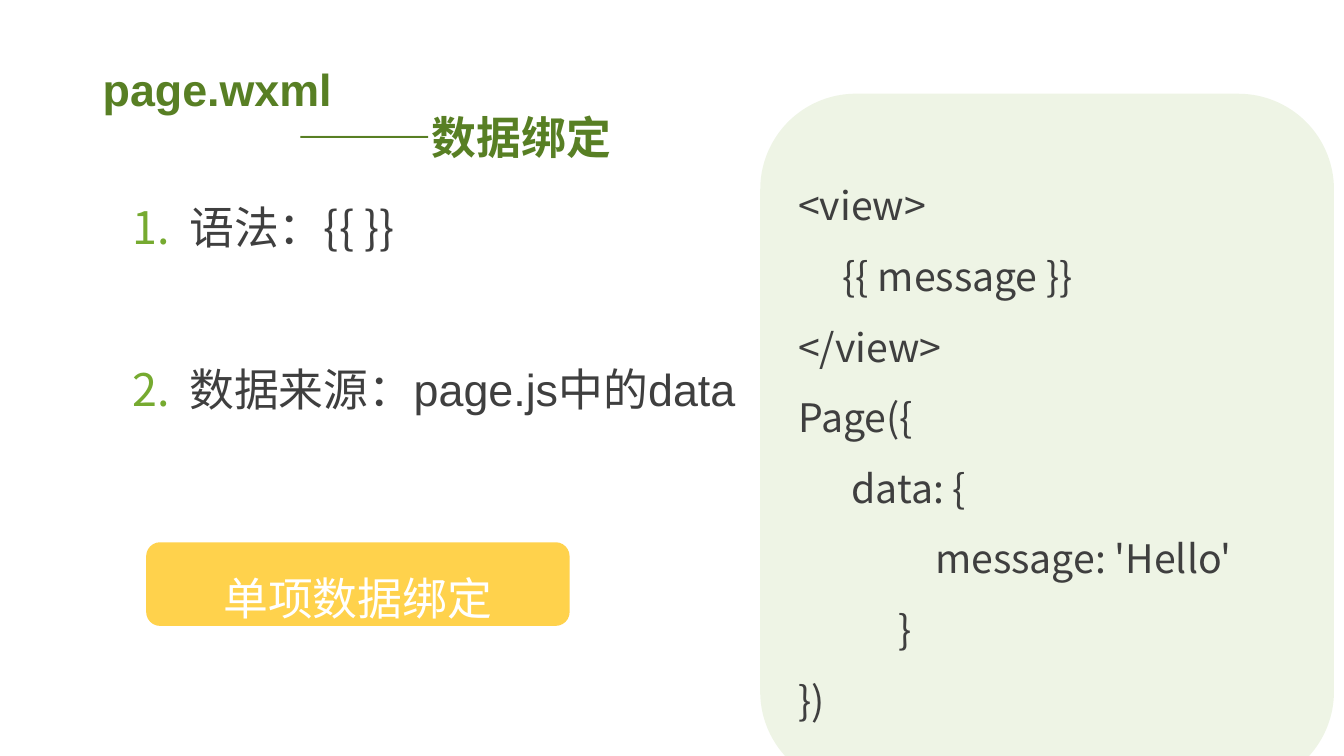
"""Build a slide on one-way data binding in page.wxml."""
from lxml import etree
from pptx import Presentation
from pptx.dml.color import RGBColor
from pptx.enum.shapes import MSO_SHAPE as Shape
from pptx.enum.text import MSO_ANCHOR as Anchor, PP_ALIGN as Align
from pptx.oxml.ns import qn
from pptx.util import Inches, Pt

NOTO = "Noto Sans CJK SC"
DARK, GREEN = "3F3F3F", "76AA30"


def add_line(frame, text, color, size=32, face=NOTO, space=1.5, indent=0):
    """Add a styled paragraph, filling the empty first one if there is one."""
    para = frame.paragraphs[-1]
    if para.text:
        para = frame.add_paragraph()
    para.text = text
    para.line_spacing = space
    font = para.font
    font.size, font.name = Pt(size), face
    font.color.rgb = RGBColor.from_string(color)
    props = para._p.get_or_add_pPr()
    props.set("marL", str(Inches(indent)))
    latin = props.find(qn("a:defRPr")).find(qn("a:latin"))
    east = etree.Element(qn("a:ea"), typeface=NOTO)
    latin.addnext(east)
    return para


def add_panel(box, color, alpha):
    """Add a borderless, see-through rounded panel and return its text frame."""
    panel = slide.shapes.add_shape(Shape.ROUNDED_RECTANGLE, *map(Inches, box))
    panel.shadow.inherit = False
    panel.line.fill.background()
    panel.fill.solid()
    panel.fill.fore_color.rgb = RGBColor.from_string(color)
    tint = panel._element.spPr.find(qn("a:solidFill"))[0]
    etree.SubElement(tint, qn("a:alpha"), val=str(alpha * 1000))
    frame = panel.text_frame
    frame.word_wrap = True
    frame.vertical_anchor = Anchor.MIDDLE
    return frame


deck = Presentation()
deck.slide_width, deck.slide_height = Inches(13.33), Inches(7.5)
slide = deck.slides.add_slide(deck.slide_layouts[6])

title = slide.shapes.add_textbox(*map(Inches, (0.92, 0.46, 9.35, 1.22))).text_frame
title.word_wrap = True
title.vertical_anchor = Anchor.BOTTOM
for text, indent in (("page.wxml", 0), ("———数据绑定", 1.93)):
    para = add_line(title, text, "587F24", face="Arial", space=0.9, indent=indent)
    para.font.bold = True

notes = slide.shapes.add_textbox(*map(Inches, (1.22, 1.67, 6.36, 5.31))).text_frame
notes.word_wrap = True
points = (("语法：{{ }}", NOTO, 0), ("数据来源：page.js中的data", "Arial", 58))
for text, face, gap in points:
    para = add_line(notes, text, DARK, face=face, indent=0.56)
    para.space_before = Pt(gap)
    props = para._p.pPr
    props.set("indent", str(-Inches(0.56)))
    tint = etree.Element(qn("a:buClr"))
    etree.SubElement(tint, qn("a:srgbClr"), val=GREEN)
    mark = etree.Element(qn("a:buFont"), typeface=NOTO)
    count = etree.Element(qn("a:buAutoNum"), type="arabicPeriod")
    for item in (tint, mark, count):
        props.find(qn("a:defRPr")).addprevious(item)

code = add_panel((7.54, 0.93, 5.69, 6.88), GREEN, 12)
lines = (
    ("<view>", 0),
    ("{{ message }}", 0.44),
    ("</view>", 0),
    ("Page({", 0),
    ("data: {", 0.53),
    ("message: 'Hello'", 1.36),
    ("}", 1),
    ("})", 0),
)
for text, indent in lines:
    para = add_line(code, text, DARK, size=28, indent=indent)
    para.alignment = Align.LEFT

label = add_panel((1.45, 5.38, 4.2, 0.83), "FFC000", 70)
para = add_line(label, "单项数据绑定", "FFFFFF")
para.alignment = Align.CENTER

deck.save("out.pptx")
